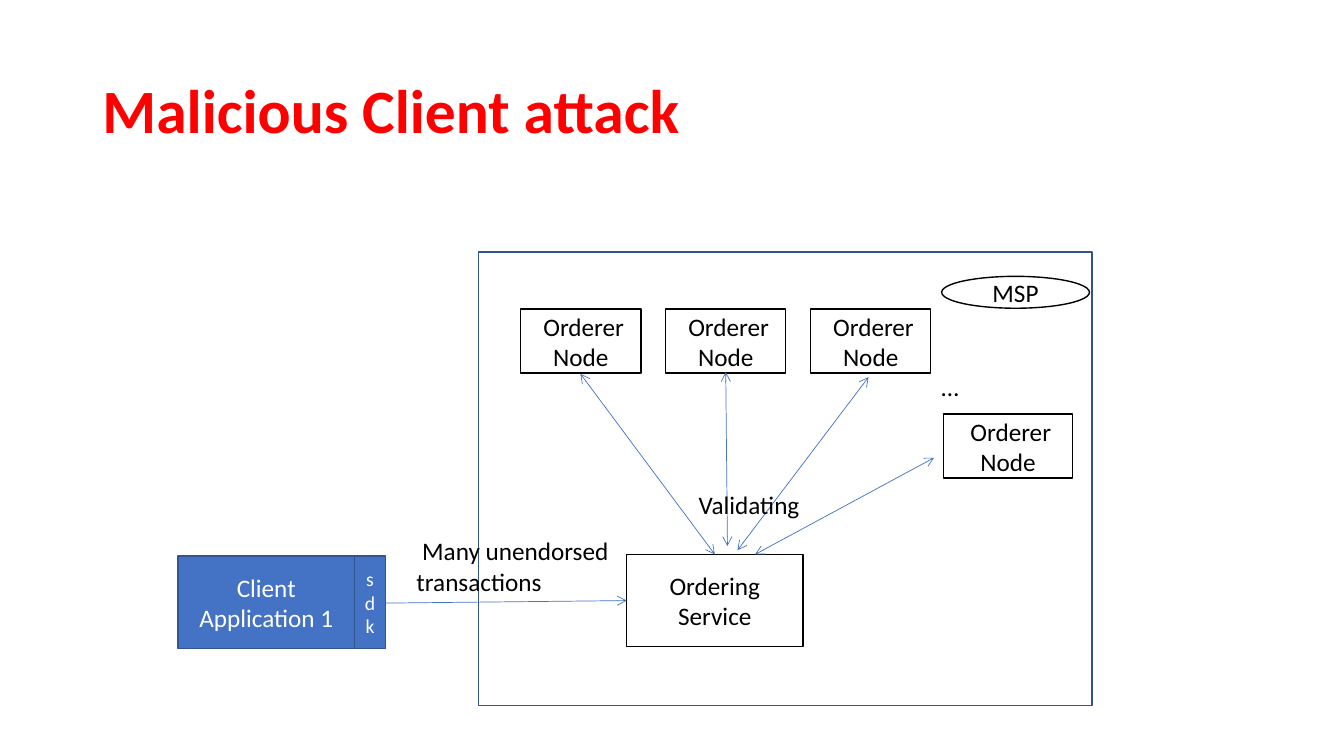
from collections import namedtuple

from lxml.etree import SubElement
from pptx import Presentation
from pptx.dml.color import RGBColor
from pptx.enum.shapes import MSO_CONNECTOR as CONNECTOR, MSO_SHAPE as SHAPE
from pptx.enum.text import MSO_ANCHOR as ANCHOR, MSO_AUTO_SIZE as AUTO_SIZE, PP_ALIGN as ALIGN
from pptx.oxml.ns import qn
from pptx.util import Inches, Pt

RED = RGBColor(0xFF, 0x00, 0x00)
BLACK = RGBColor(0x00, 0x00, 0x00)
WHITE = RGBColor(0xFF, 0xFF, 0xFF)
BLUE = RGBColor(0x44, 0x72, 0xC4)
DARK_BLUE = RGBColor(0x32, 0x54, 0x91)

# The slide is a grid of 160 columns by 90 rows of square cells
COLUMNS, ROWS = 160, 90
CELL = Inches(7.5) / ROWS

Box = namedtuple("Box", "left top width height")


def cells(*counts):
    return [round(count * CELL) for count in counts]


def inside(box, left, top, width, height):
    """Place a part by its offset from the corner of a region."""
    return Box(box.left + left, box.top + top, width, height)


def write(shape, text, size=18, color=BLACK, bold=False, align=ALIGN.LEFT, anchor=ANCHOR.TOP):
    frame = shape.text_frame
    frame.word_wrap = True
    frame.vertical_anchor = anchor
    paragraph = frame.paragraphs[0]
    paragraph.text = text
    paragraph.alignment = align
    font = paragraph.runs[0].font
    font.color.rgb = color
    for name, value in {"name": "Calibri", "size": Pt(size), "bold": bold}.items():
        setattr(font, name, value)
    return paragraph


def add_block(slide, box, text="", kind=SHAPE.RECTANGLE, fill=WHITE, line=BLACK, color=BLACK, size=18):
    shape = slide.shapes.add_shape(kind, *cells(*box))
    shape.shadow.inherit = False
    if fill is None:
        shape.fill.background()
    else:
        shape.fill.solid()
        shape.fill.fore_color.rgb = fill
    shape.line.color.rgb = line
    shape.line.width = Pt(1)
    if text:
        write(shape, text, size, color, align=ALIGN.CENTER, anchor=ANCHOR.MIDDLE)


def add_label(slide, box, text):
    write(slide.shapes.add_textbox(*cells(*box)), text)


def add_arrow(slide, box, start, end, ends=("headEnd", "tailEnd")):
    points = [box.left + start[0], box.top + start[1], box.left + end[0], box.top + end[1]]
    connector = slide.shapes.add_connector(CONNECTOR.STRAIGHT, *cells(*points))
    connector.line.color.rgb = BLUE
    connector.line.width = Pt(0.5)
    line = connector.line._get_or_add_ln()
    for end_name in ends:
        SubElement(line, qn(f"a:{end_name}"), type="arrow")
    SubElement(connector._element.spPr, qn("a:effectLst"))


def add_title(slide, box, text):
    title = slide.shapes.title
    title.left, title.top, title.width, title.height = cells(*box)
    paragraph = write(title, text, 44, RED, bold=True, anchor=ANCHOR.MIDDLE)
    paragraph.line_spacing = 0.9
    title.text_frame.auto_size = AUTO_SIZE.NONE


def add_ordering_network(slide, box):
    add_block(slide, box, fill=None, line=DARK_BLUE)
    add_block(slide, inside(box, 55.1, 2.9, 17.6, 3.8), "MSP", SHAPE.OVAL)
    add_block(slide, inside(box, 17.6, 36, 21, 11), "Ordering Service")

    # Row of orderer nodes, then the last one further down
    nodes = [(5 + 17.25 * index, 6.8, 14.3, 7.6) for index in range(3)]
    nodes.append((55.3, 19.3, 15.4, 7.6))
    for node in nodes:
        add_block(slide, inside(box, *node), " Orderer Node")

    # Two-way arrows between the nodes and the service
    for node_end, service_end in [
        ((12.1, 14.5), (28.1, 36)),
        ((29.4, 14.3), (29.6, 35)),
        ((46.4, 14.9), (30.8, 35.5)),
        ((54.2, 24.5), (32.9, 36)),
    ]:
        add_arrow(slide, box, node_end, service_end)

    add_label(slide, inside(box, 53.9, 13.6, 4.7, 4.8), "…")
    add_label(slide, inside(box, 25, 27.7, 16, 4.9), "Validating")


def add_client(slide, box):
    sdk_width = 3.7
    application_width = box.width - sdk_width
    for left, width, text, size in [
        (0, application_width, "Client Application 1", 18),
        (application_width, sdk_width, "sdk", 14),
    ]:
        add_block(slide, inside(box, left, 0, width, box.height), text,
                  fill=BLUE, line=DARK_BLUE, color=WHITE, size=size)


def add_request(slide, box):
    add_arrow(slide, box, (0, box.height), (box.width, box.height - 0.3), ends=["tailEnd"])
    add_label(slide, inside(box, 2.5, 0, 26.8, box.height), " Many unendorsed transactions")


def main():
    presentation = Presentation()
    presentation.slide_width, presentation.slide_height = cells(COLUMNS, ROWS)
    slide = presentation.slides.add_slide(presentation.slide_layouts[5])
    add_title(slide, Box(11, 4.8, 138, 17.4), "Malicious Client attack")
    add_ordering_network(slide, Box(57, 30, 73, 54))
    add_client(slide, Box(21.2, 66.2, 24.7, 11))
    add_request(slide, Box(45.9, 63.2, 28.7, 8.6))
    presentation.save("out.pptx")


if __name__ == "__main__":
    main()
